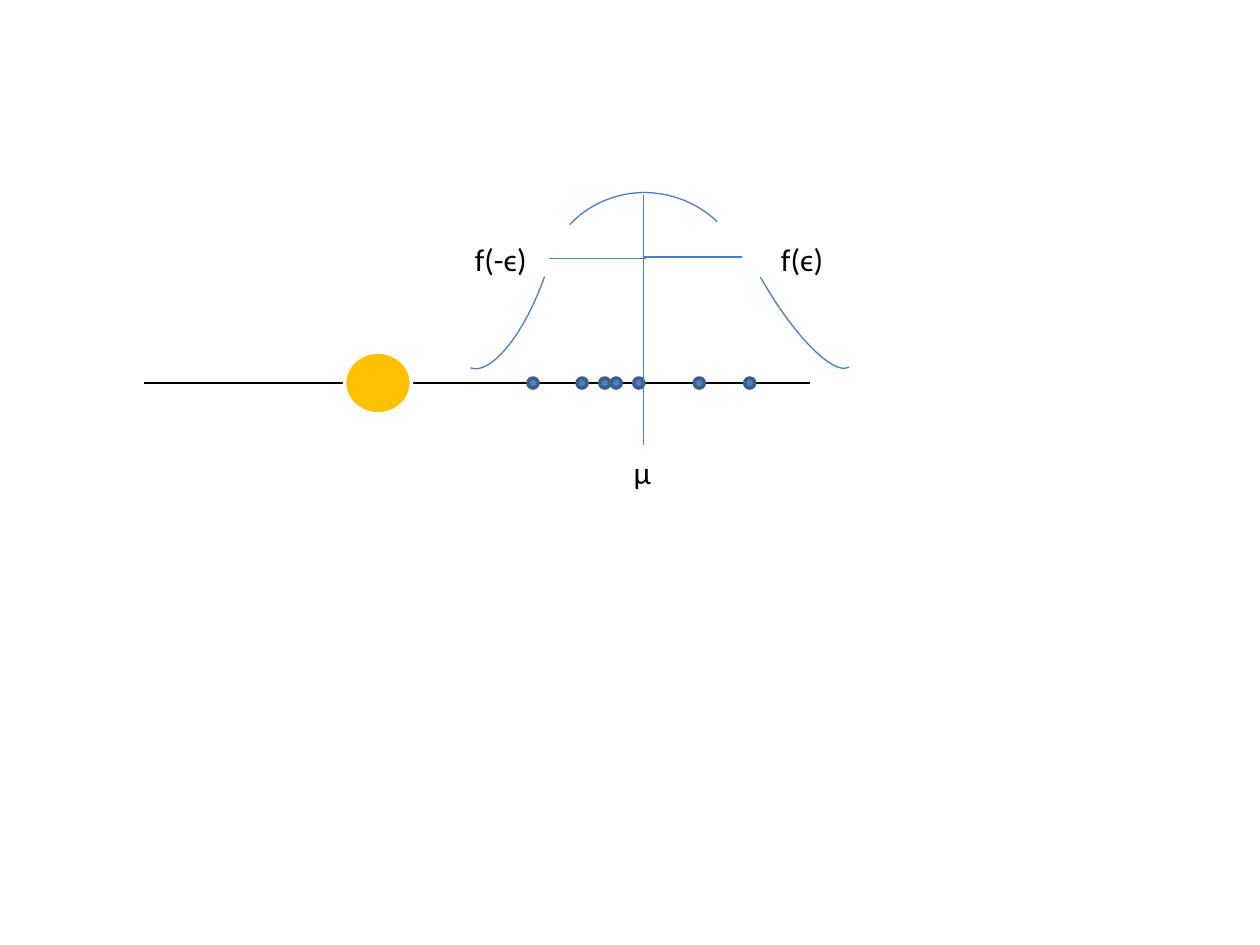
from dataclasses import dataclass

from lxml.etree import SubElement
from pptx import Presentation
from pptx.dml.color import RGBColor
from pptx.enum.shapes import MSO_CONNECTOR, MSO_SHAPE
from pptx.enum.text import MSO_AUTO_SIZE
from pptx.oxml.ns import qn
from pptx.util import Inches, Pt

BLACK, WHITE, CURVE_BLUE = "000000", "FFFFFF", "4B7EBC"
DOT_FILL, DOT_EDGE, GOLD = "4F81BD", "3A5F8C", "FFC000"
AXIS_Y = 3.04
MEAN_X = 5.11
DOT_SIZE = 0.08


@dataclass
class Line:
    start: tuple[float, float]
    end: tuple[float, float]
    color: str = CURVE_BLUE


@dataclass
class Ellipse:
    center_x: float
    width: float
    height: float
    fill: str
    edge: str


@dataclass
class Arc:
    left: float
    top: float
    width: float
    height: float
    rotation: float
    flipped: bool = False


@dataclass
class Label:
    text: str
    left: float
    top: float
    width: float
    wrap: bool = False


def rgb(color: str) -> RGBColor:
    return RGBColor.from_string(color)


def draw_line(slide, line: Line) -> None:
    points = [Inches(value) for value in (*line.start, *line.end)]
    connector = slide.shapes.add_connector(MSO_CONNECTOR.STRAIGHT, *points)
    connector.line.color.rgb = rgb(line.color)
    connector.line.width = Pt(0.75)
    SubElement(connector._element.spPr, qn("a:effectLst"))


def draw_ellipse(slide, ellipse: Ellipse) -> None:
    shape = slide.shapes.add_shape(
        MSO_SHAPE.OVAL,
        Inches(ellipse.center_x - ellipse.width / 2),
        Inches(AXIS_Y - ellipse.height / 2),
        Inches(ellipse.width),
        Inches(ellipse.height),
    )
    shape.shadow.inherit = False
    shape.fill.solid()
    shape.fill.fore_color.rgb = rgb(ellipse.fill)
    shape.line.color.rgb = rgb(ellipse.edge)
    shape.line.width = Pt(2)


def draw_arc(slide, arc: Arc) -> None:
    shape = slide.shapes.add_shape(
        MSO_SHAPE.ARC, Inches(arc.left), Inches(arc.top), Inches(arc.width), Inches(arc.height)
    )
    shape.shadow.inherit = False
    shape.fill.background()
    shape.line.color.rgb = rgb(CURVE_BLUE)
    shape.line.width = Pt(0.75)
    shape.rotation = arc.rotation
    if arc.flipped:
        shape._element.spPr.find(qn("a:xfrm")).set("flipH", "1")


def draw_label(slide, label: Label) -> None:
    box = slide.shapes.add_textbox(
        Inches(label.left), Inches(label.top), Inches(label.width), Inches(0.4)
    )
    frame = box.text_frame
    frame.word_wrap = label.wrap
    frame.auto_size = MSO_AUTO_SIZE.SHAPE_TO_FIT_TEXT
    run = frame.paragraphs[0].add_run()
    run.text = label.text
    run.font.name = "Calibri"
    run.font.size = Pt(18)
    run.font.color.rgb = rgb(BLACK)


DOT_CENTERS = (5.95, 5.55, 4.89, 4.62, 4.23, 4.8, 5.07)
DOTS = [Ellipse(x, DOT_SIZE, DOT_SIZE, DOT_FILL, DOT_EDGE) for x in DOT_CENTERS]
SUN = Ellipse(3, 0.53, 0.49, GOLD, WHITE)
AXIS = Line((6.43, AXIS_Y), (1.14, AXIS_Y), BLACK)
MARKERS = [
    Line((MEAN_X, 1.55), (MEAN_X, 3.53)),
    Line((MEAN_X, 2.04), (5.89, 2.04)),
    Line((4.36, 2.05), (5.13, 2.05)),
]
BELL_CURVE = [
    Arc(4.31, 1.52, 1.64, 1.67, 313.3),
    Arc(6, 1.1, 0.52, 1.94, 150.4),
    Arc(3.71, 1.21, 0.63, 1.76, 199.3, flipped=True),
]
LABELS = [
    Label("μ", 4.93, 3.55, 0.47, wrap=True),
    Label("f(ϵ)", 6.1, 1.86, 0.54),
    Label("f(-ϵ)", 3.67, 1.86, 0.62),
]

presentation = Presentation()
presentation.slide_width = Inches(10)
presentation.slide_height = Inches(7.5)
slide = presentation.slides.add_slide(presentation.slide_layouts[6])

draw_line(slide, AXIS)
for ellipse in [*DOTS, SUN]:
    draw_ellipse(slide, ellipse)
for arc in BELL_CURVE:
    draw_arc(slide, arc)
for marker in MARKERS:
    draw_line(slide, marker)
for label in LABELS:
    draw_label(slide, label)

presentation.save("out.pptx")
